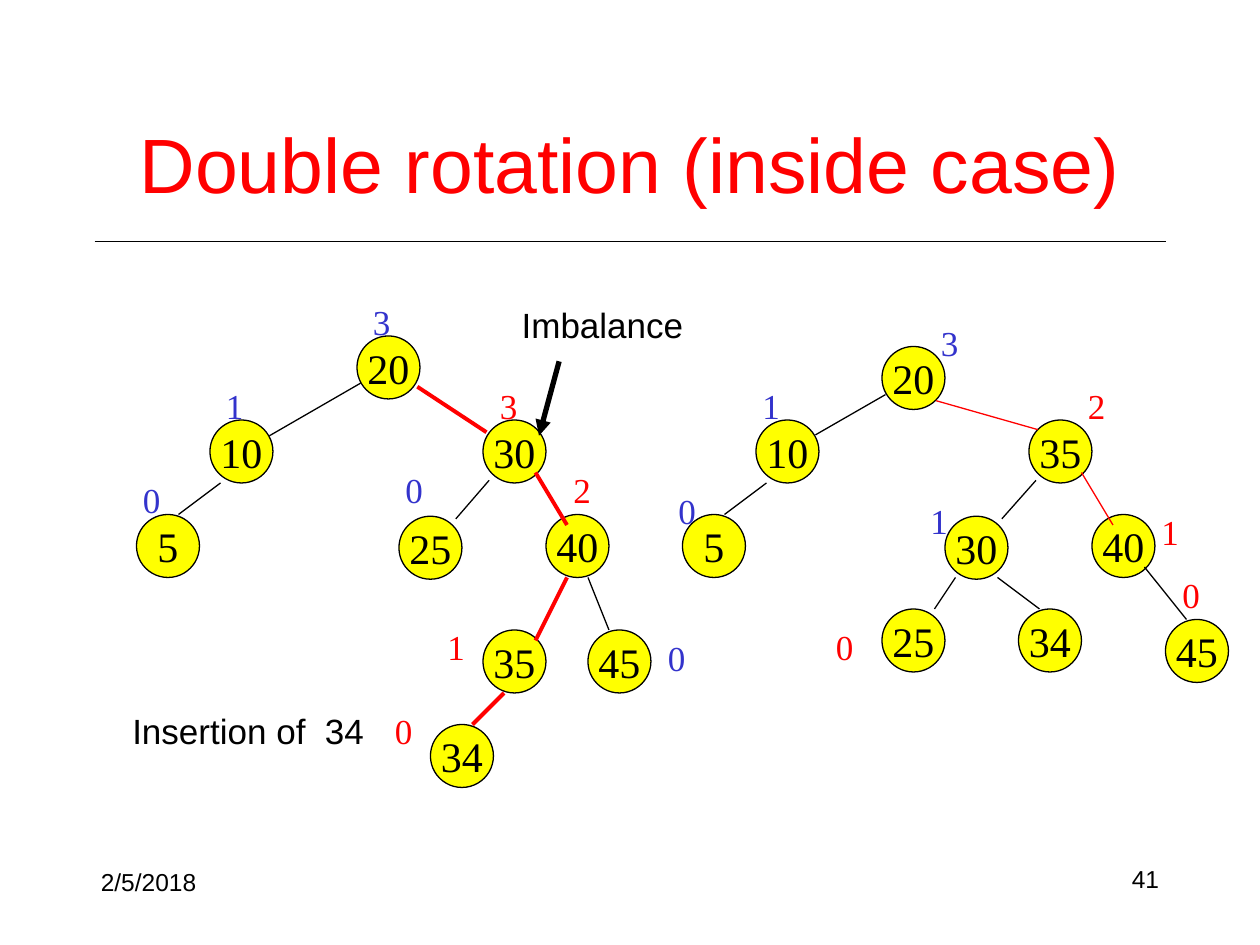
import pptx
import pptx.util
import pptx.dml.color
import pptx.enum.shapes
import pptx.enum.text
import pptx.oxml
import pptx.oxml.ns

Pt = pptx.util.Pt
ALIGN = pptx.enum.text.PP_ALIGN
MIDDLE = pptx.enum.text.MSO_ANCHOR.MIDDLE
COLORS = {"black": "000000", "red": "FF0000", "blue": "3333CC", "yellow": "FFFF00"}
RGB = {name: pptx.dml.color.RGBColor.from_string(code) for name, code in COLORS.items()}
NODE_SIZE = 36

deck = pptx.Presentation()
deck.slide_width, deck.slide_height = Pt(720), Pt(540)
slide = deck.slides.add_slide(deck.slide_layouts[5])


def write(shape, text, size, font, color, align=ALIGN.LEFT, wrap=True):
    """Fill a shape with one formatted run and narrow margins."""
    frame = shape.text_frame
    frame.word_wrap = wrap
    frame.margin_left = frame.margin_right = Pt(3.6)
    frame.margin_top = frame.margin_bottom = Pt(3.6)
    paragraph = frame.paragraphs[0]
    paragraph.alignment = align
    run = paragraph.add_run()
    run.text = text
    run.font.size = Pt(size)
    run.font.name = font
    run.font.color.rgb = RGB[color]
    return paragraph


def draw_line(x1, y1, x2, y2, color="black", width=0.75):
    line = slide.shapes.add_connector(
        pptx.enum.shapes.MSO_CONNECTOR.STRAIGHT, Pt(x1), Pt(y1), Pt(x2), Pt(y2))
    line.line.color.rgb = RGB[color]
    line.line.width = Pt(width)
    pptx.oxml.ns.qn("a:effectLst")
    line._element.spPr.append(line._element.makeelement(pptx.oxml.ns.qn("a:effectLst"), {}))
    return line


# Title and rule
draw_line(54, 138, 666, 138)
title = slide.shapes.title
title.left, title.top, title.width, title.height = Pt(54), Pt(48), Pt(612), Pt(90)
write(title, "Double rotation (inside case)", 44, "Arial", "red", ALIGN.CENTER)
title.text_frame.vertical_anchor = MIDDLE

# Subtree heights: left, top, width, value, colour
heights = [
    # Tree after insertion
    (282, 216, 18, "3", "red"), (228, 264, 24, "0", "blue"),
    (209.5, 168, 18, "3", "blue"), (125.5, 216, 18, "1", "blue"),
    (324, 264, 24, "2", "red"), (78, 270, 24, "0", "blue"),
    (378, 360, 24, "0", "blue"), (222, 402, 24, "0", "red"),
    (252, 354, 18, "1", "red"),
    # Tree after rotation
    (432, 216, 18, "1", "blue"), (384, 276, 24, "0", "blue"),
    (528, 282, 24, "1", "blue"), (618, 216, 18, "2", "red"),
    (534, 180, 18, "3", "blue"), (672, 324, 24, "0", "red"),
    (660, 288, 18, "1", "red"), (474, 354, 24, "0", "red"),
]

# Tree nodes: left, top, key
nodes = [
    (204, 192, "20"), (120, 240, "10"), (276, 240, "30"), (228, 295, "25"),
    (312, 294, "40"), (78, 294, "5"), (336, 360, "45"), (276, 360, "35"),
    (246, 414, "34"),
    (504, 198, "20"), (432, 240, "10"), (588, 240, "35"), (540, 295, "30"),
    (624, 294, "40"), (390, 294, "5"), (666, 354, "45"), (504, 348, "25"),
    (582, 348, "34"),
]
for left, top, key in nodes:
    node = slide.shapes.add_shape(pptx.enum.shapes.MSO_SHAPE.OVAL,
                                  Pt(left), Pt(top), Pt(NODE_SIZE), Pt(NODE_SIZE))
    node.shadow.inherit = False
    node.fill.solid()
    node.fill.fore_color.rgb = RGB["yellow"]
    node.line.color.rgb = RGB["black"]
    node.line.width = Pt(0.75)
    write(node, key, 24, "Times New Roman", "black", ALIGN.CENTER, wrap=False)
    node.text_frame.vertical_anchor = MIDDLE

# Edges between parent and child
plain_edges = [
    (206, 219, 154, 249), (279.5, 274.5, 260.5, 296.5), (126, 276, 102, 294),
    (336, 330, 348, 360),
    (506, 225.5, 466, 248.5), (592, 274.5, 572.5, 296.5), (438, 276, 414, 294),
    (654, 324, 678, 354), (546, 330, 534, 348), (570, 330, 594, 348),
]
insertion_path = [
    (238.5, 221, 278, 247), (306, 270, 324, 300), (324, 330, 306, 366),
    (288, 396, 270, 414),
]
rotated_path = [(535, 229, 593, 245.5), (618, 270, 636, 300)]
for edges, color, width in ((plain_edges, "black", 0.75),
                            (insertion_path, "red", 2.25),
                            (rotated_path, "red", 0.75)):
    for edge in edges:
        draw_line(*edge, color, width)

for left, top, width, value, color in heights:
    height_label = slide.shapes.add_textbox(Pt(left), Pt(top), Pt(width), Pt(29.5))
    write(height_label, value, 20, "Times New Roman", color)

# Pointer to the unbalanced node
pointer = draw_line(319.5, 206.5, 308, 249, width=3)
pointer.line._get_or_add_ln().append(
    pptx.oxml.parse_xml('<a:tailEnd xmlns:a="http://schemas.openxmlformats.org/'
                        'drawingml/2006/main" type="triangle"/>'))

# Captions, date and slide number
captions = [
    (294.5, 170, 108, 29.5, "Imbalance", 20, ALIGN.LEFT),
    (72, 402, 150, 29.5, "Insertion of  34", 20, ALIGN.LEFT),
    (54, 492, 150, 24.5, "2/5/2018", 14, ALIGN.LEFT),
    (516, 492, 150, 23, "41", 14, ALIGN.RIGHT),
]
for left, top, width, height, text, size, align in captions:
    caption = slide.shapes.add_textbox(Pt(left), Pt(top), Pt(width), Pt(height))
    paragraph = write(caption, text, size, "Arial", "black", align)
    if align == ALIGN.RIGHT:
        paragraph.line_spacing = 0.9

deck.save("out.pptx")
